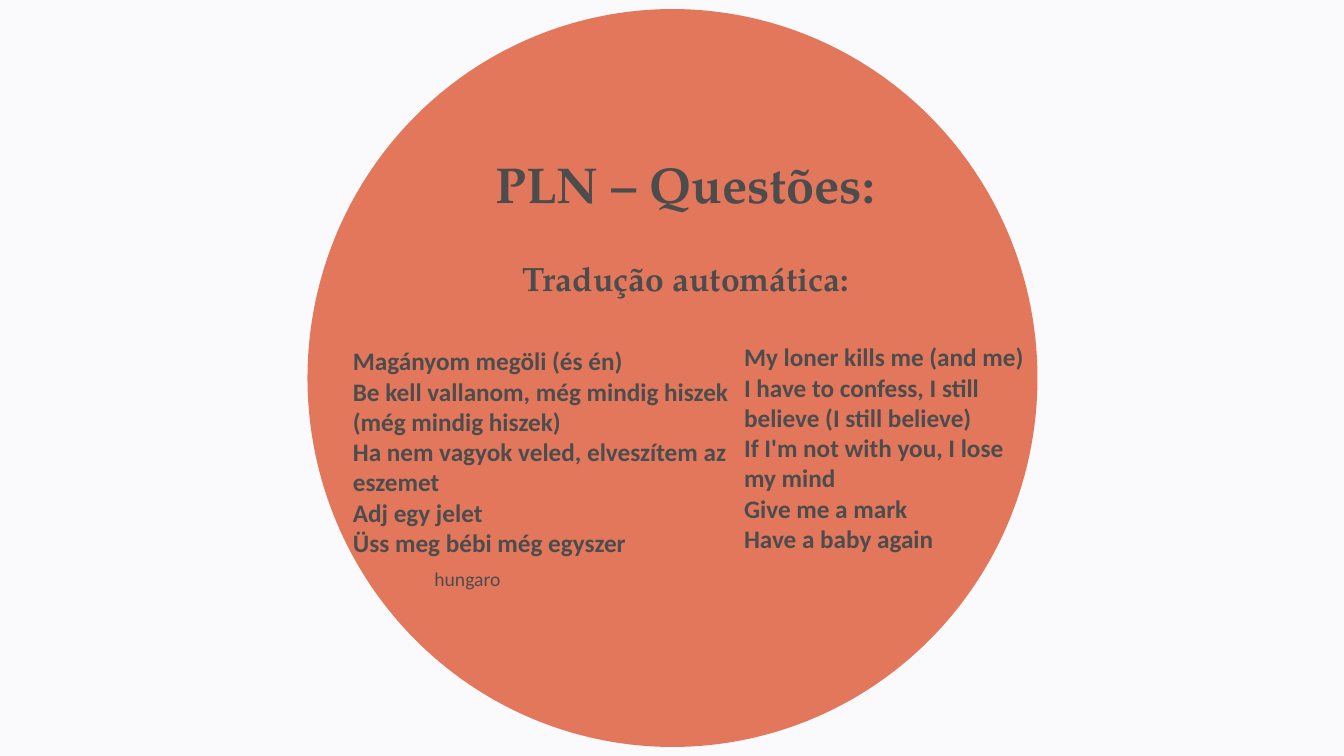
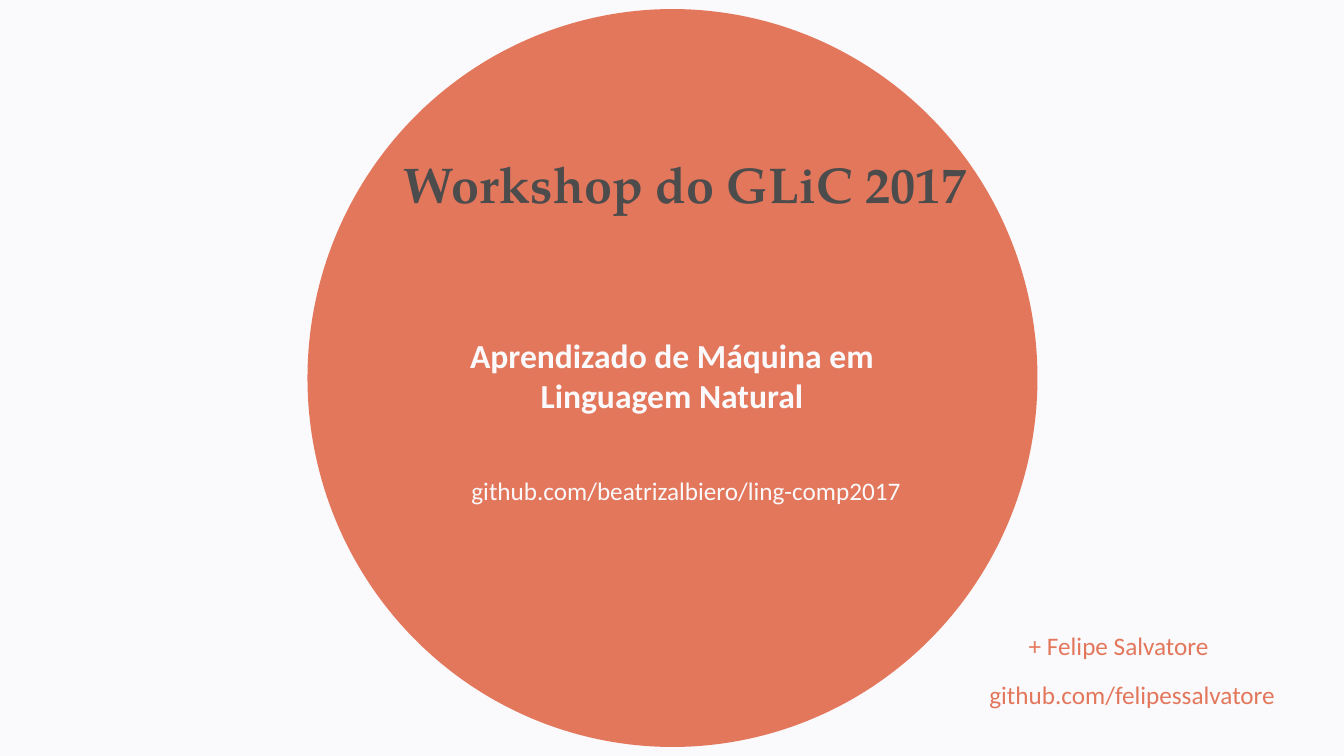
from lxml.etree import SubElement
from pptx import Presentation
from pptx.dml.color import RGBColor
from pptx.enum.shapes import MSO_SHAPE
from pptx.enum.text import MSO_ANCHOR, MSO_AUTO_SIZE, PP_ALIGN
from pptx.oxml.ns import qn
from pptx.util import Inches, Pt

# Shared colours, fonts and layouts
PAPER, CORAL, GRAPHITE = "FAF9FB", "E3775C", "4D4C4D"
SERIF, SANS = "TeX Gyre Pagella", "Calibri"
TITLE_SLIDE, TWO_CONTENT = 0, 3

HUNGARIAN = [
    "Magányom megöli (és én)",
    "Be kell vallanom, még mindig hiszek (még mindig hiszek)",
    "Ha nem vagyok veled, elveszítem az eszemet",
    "Adj egy jelet",
    "Üss meg bébi még egyszer",
]
ENGLISH = [
    "My loner kills me (and me)",
    "I have to confess, I still believe (I still believe)",
    "If I'm not with you, I lose my mind",
    "Give me a mark",
    "Have a baby again",
]


def paint(fill, colour):
    fill.solid()
    fill.fore_color.rgb = RGBColor.from_string(colour)


def place(shape, left, top, width, height):
    shape.left, shape.top = Inches(left), Inches(top)
    shape.width, shape.height = Inches(width), Inches(height)


def write(shape, lines, size, colour, font=SANS, bold=False,
          align=PP_ALIGN.CENTER, wrap=True):
    """Fill a placeholder or text box with plain, unbulleted lines."""
    frame = shape.text_frame
    frame.auto_size = MSO_AUTO_SIZE.NONE
    frame.word_wrap = wrap
    frame.vertical_anchor = MSO_ANCHOR.TOP
    for index, line in enumerate(lines):
        paragraph = frame.add_paragraph() if index else frame.paragraphs[0]
        properties = paragraph._p.get_or_add_pPr()
        properties.set("marL", "0")
        properties.set("indent", "0")
        SubElement(properties, qn("a:buNone"))
        paragraph.alignment = align
        paragraph.space_before = Pt(0)
        run = paragraph.add_run()
        run.text = line
        run.font.name, run.font.size, run.font.bold = font, Pt(size), bold
        run.font.color.rgb = RGBColor.from_string(colour)


def add_label(slide, box, line, size, colour, **style):
    label = slide.shapes.add_textbox(*map(Inches, box))
    write(label, [line], size, colour, **style)


def fill_body(placeholder, box, lines, size, colour, **style):
    place(placeholder, *box)
    write(placeholder, lines, size, colour, bold=True, **style)


def add_disc_slide(deck, layout, heading):
    """Start a slide with the pale ground, the coral disc and its title."""
    slide = deck.slides.add_slide(deck.slide_layouts[layout])
    paint(slide.background.fill, PAPER)
    disc = slide.shapes.add_shape(
        MSO_SHAPE.OVAL, *map(Inches, (3.05, 0.09, 7.24, 7.32)))
    disc.shadow.inherit = False
    paint(disc.fill, CORAL)
    disc.line.fill.background()
    title = slide.shapes.title
    title.element.addprevious(disc.element)  # the disc lies behind the text
    place(title, 3.9, 1.47, 5.79, 0.71)
    write(title, [heading], 36, GRAPHITE, font=SERIF, bold=True)
    return slide


def build_translation(deck):
    slide = add_disc_slide(deck, TWO_CONTENT, "PLN – Questões:")
    add_label(slide, (3.98, 2.51, 5.64, 0.5), "Tradução automática:",
              24, GRAPHITE, font=SERIF, bold=True)
    fill_body(slide.placeholders[1], (3.4, 3.38, 4.08, 2.52), HUNGARIAN,
              18, GRAPHITE, align=PP_ALIGN.LEFT)
    fill_body(slide.placeholders[2], (7.28, 3.34, 3.11, 2.22), ENGLISH,
              18, GRAPHITE, align=PP_ALIGN.LEFT)
    add_label(slide, (4.21, 5.58, 2.45, 0.34), "hungaro",
              14, GRAPHITE, align=PP_ALIGN.LEFT)


def build_workshop(deck):
    slide = add_disc_slide(deck, TITLE_SLIDE, "Workshop do GLiC 2017")
    fill_body(slide.placeholders[1], (3.86, 3.27, 5.61, 0.91),
              ["Aprendizado de Máquina em Linguagem Natural"], 24, PAPER)
    add_label(slide, (4.55, 4.67, 4.51, 0.4),
              "github.com/beatrizalbiero/ling-comp2017", 18, PAPER, wrap=False)
    # Co-author credit
    add_label(slide, (8.84, 6.2, 4.51, 0.4), "+ Felipe Salvatore", 18, CORAL)
    add_label(slide, (9.23, 6.69, 4, 0.4), "github.com/felipessalvatore",
              18, CORAL)


def main():
    deck = Presentation()
    deck.slide_width, deck.slide_height = Inches(13.33), Inches(7.5)
    build_translation(deck)
    build_workshop(deck)
    deck.save("out.pptx")


if __name__ == "__main__":
    main()
